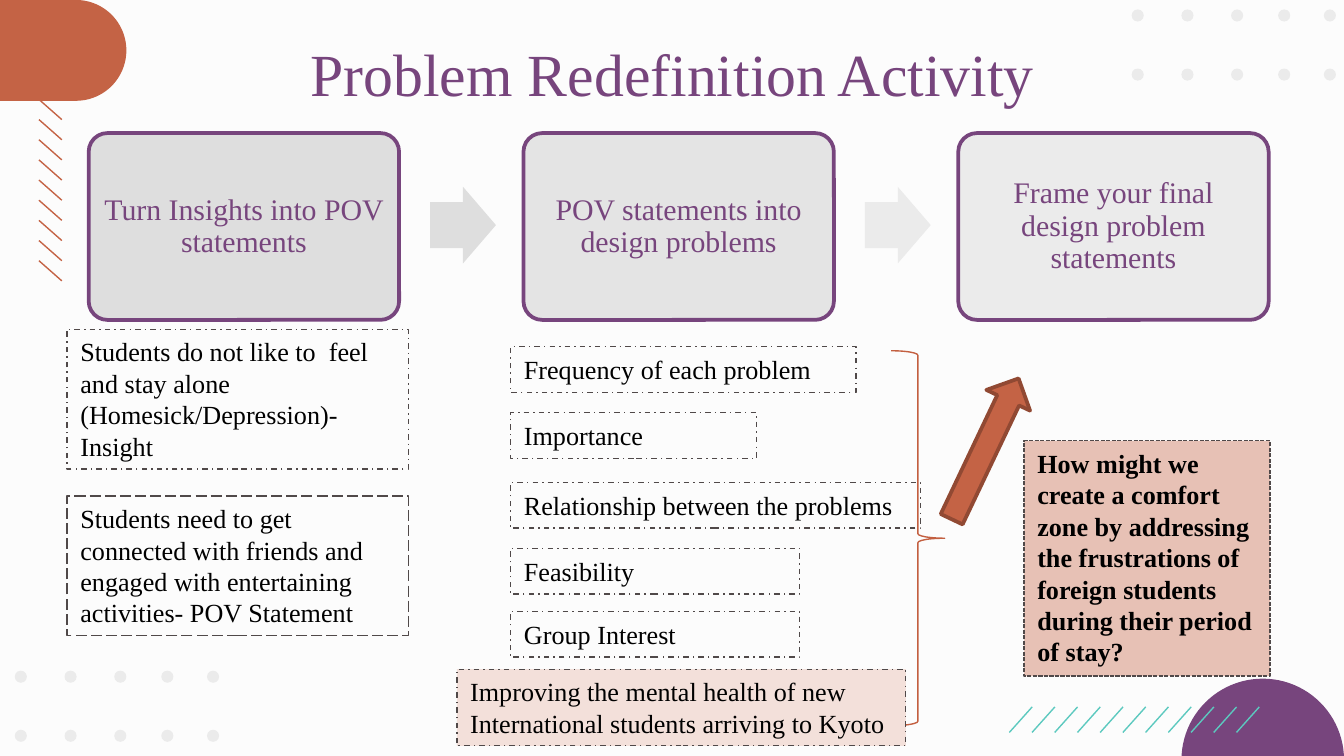
"""Build the Problem Redefinition Activity slide."""
import pptx
import pptx.dml.color
import pptx.enum.dml
import pptx.enum.shapes
import pptx.enum.text
import pptx.oxml.ns
import pptx.util
from lxml import etree

Inches = pptx.util.Inches
Pt = pptx.util.Pt
Shape = pptx.enum.shapes.MSO_SHAPE
Dash = pptx.enum.dml.MSO_LINE
Align = pptx.enum.text.PP_ALIGN
Anchor = pptx.enum.text.MSO_ANCHOR

PURPLE = "77457D"
RUST = "C46345"
TEAL = "5CC9BF"
GREY = "EBEBEB"
BORDER = "504949"


def color(value):
    return pptx.dml.color.RGBColor.from_string(value)


def write_text(frame, text, size=14, ink="000000", bold=False, align=Align.LEFT,
               anchor=Anchor.TOP, spacing=1.0, insets=(0.1, 0.05, 0.1, 0.05)):
    frame.word_wrap = True
    frame.auto_size = pptx.enum.text.MSO_AUTO_SIZE.NONE
    frame.vertical_anchor = anchor
    frame.margin_left, frame.margin_top, frame.margin_right, frame.margin_bottom = map(Inches, insets)
    paragraph = frame.paragraphs[0]
    paragraph.alignment = align
    paragraph.line_spacing = spacing
    run = paragraph.add_run()
    run.text = text
    run.font.name = "Times New Roman"
    run.font.size = Pt(size)
    run.font.bold = bold
    run.font.color.rgb = color(ink)


class SlideBuilder:
    def __init__(self, presentation):
        self.slide = presentation.slides.add_slide(presentation.slide_layouts[5])
        background = self.slide.background.fill
        background.solid()
        background.fore_color.rgb = color("FCFCFC")

    def title(self, text, left, top, width, height):
        shape = self.slide.shapes.title
        shape.left, shape.top, shape.width, shape.height = map(Inches, (left, top, width, height))
        write_text(shape.text_frame, text, size=32, ink=PURPLE, align=Align.CENTER,
                   insets=(0.1, 0.1, 0.1, 0.1))

    def shape(self, kind, left, top, width, height, fill=None, line=None,
              weight=0.75, dash=None, rotation=0, adjustments=()):
        shape = self.slide.shapes.add_shape(kind, *map(Inches, (left, top, width, height)))
        shape.shadow.inherit = False
        shape.rotation = rotation
        for index, value in enumerate(adjustments):
            shape.adjustments[index] = value
        if fill:
            shape.fill.solid()
            shape.fill.fore_color.rgb = color(fill)
        else:
            shape.fill.background()
        if line:
            shape.line.color.rgb = color(line)
            shape.line.width = Pt(weight)
            if dash:
                shape.line.dash_style = dash
        else:
            shape.line.fill.background()
        return shape

    def line(self, start_x, start_y, end_x, end_y, ink):
        connector = self.slide.shapes.add_connector(
            pptx.enum.shapes.MSO_CONNECTOR.STRAIGHT,
            *map(Inches, (start_x, start_y, end_x, end_y)))
        connector.line.color.rgb = color(ink)
        connector.line.width = Pt(0.75)
        etree.SubElement(connector._element.spPr, pptx.oxml.ns.qn("a:effectLst"))

    def dots(self, left, top):
        for row in range(2):
            for offset in (0, 0.37, 0.74, 1.09, 1.43):
                self.shape(Shape.OVAL, left + offset, top + 0.44 * row, 0.09, 0.09, fill=GREY)

    def card(self, text, left, fill):
        card = self.shape(Shape.ROUNDED_RECTANGLE, left, 0.99, 2.31, 1.39, fill=fill,
                          line=PURPLE, weight=2, adjustments=(0.1,))
        write_text(card.text_frame, text, size=16, ink=PURPLE, align=Align.CENTER,
                   anchor=Anchor.MIDDLE, spacing=0.9, insets=(0.07,) * 4)

    def note(self, text, left, top, width, height, fill=None, dash=Dash.DASH_DOT, bold=False):
        note = self.shape(Shape.RECTANGLE, left, top, width, height, fill=fill,
                          line=BORDER, dash=dash)
        write_text(note.text_frame, text, bold=bold)


def main():
    presentation = pptx.Presentation()
    presentation.slide_width = Inches(10)
    presentation.slide_height = Inches(10) * 9 // 16
    builder = SlideBuilder(presentation)

    builder.dots(0.11, 4.99)
    builder.dots(8.42, 0.07)
    builder.shape(Shape.PIE, 8.79, 5.05, 1.21, 1.21, fill=PURPLE, rotation=90,
                  adjustments=(53.61, 162))
    for index in range(11):
        right = 9.37 - 0.169 * index
        builder.line(right, 5.26, right - 0.17, 5.45, TEAL)
    builder.shape(Shape.ROUND_2_SAME_RECTANGLE, 0.09, -0.1, 0.74, 0.95, fill=RUST, line=RUST,
                  rotation=90, adjustments=(0.5, 0))
    for index in range(9):
        bottom = 2.09 - 0.15 * index
        builder.line(0.46, bottom, 0.29, bottom - 0.15, RUST)

    builder.title("Problem Redefinition Activity", 0.79, 0.17, 8.43, 0.63)

    steps = (("Turn Insights into POV statements", "DEDEDE"),
             ("POV statements into design problems", "E4E4E4"),
             ("Frame your final design problem statements", GREY))
    step_pitch = 3.235
    for index, (text, fill) in enumerate(steps):
        builder.card(text, 0.66 + step_pitch * index, fill)
    for index, fill in enumerate(("DEDEDE", GREY)):
        builder.shape(Shape.RIGHT_ARROW, 3.2 + step_pitch * index, 1.39, 0.49, 0.57,
                      fill=fill, adjustments=(0.6, 0.5))

    builder.note("Students do not like to  feel and stay alone (Homesick/Depression)- Insight",
                 0.5, 2.45, 2.54, 1.04)
    builder.note("Students need to get connected with friends and engaged with "
                 "entertaining activities- POV Statement",
                 0.5, 3.69, 2.54, 1.04, dash=Dash.LONG_DASH)

    criteria = (("Frequency of each problem", 2.58, 2.57),
                ("Importance", 3.07, 1.83),
                ("Relationship between the problems", 3.59, 3.05),
                ("Feasibility", 4.08, 2.15),
                ("Group Interest", 4.55, 2.15))
    for text, top, width in criteria:
        builder.note(text, 3.8, top, width, 0.34)

    builder.note("How might we create a comfort zone by addressing the frustrations of "
                 "foreign students during their period of stay?",
                 7.62, 3.28, 1.83, 1.75, fill="E7C1B5", dash=Dash.SQUARE_DOT, bold=True)
    builder.shape(Shape.RIGHT_BRACE, 6.63, 2.61, 0.4, 2.79, line="C35F40")
    builder.shape(Shape.UP_ARROW, 7.15, 2.76, 0.36, 1.16, fill=RUST, line="914933",
                  weight=2, rotation=25.4)
    builder.note("Improving the mental health of new International students arriving to Kyoto",
                 3.4, 4.98, 3.34, 0.57, fill="F3E0DA")

    presentation.save("out.pptx")


if __name__ == "__main__":
    main()
